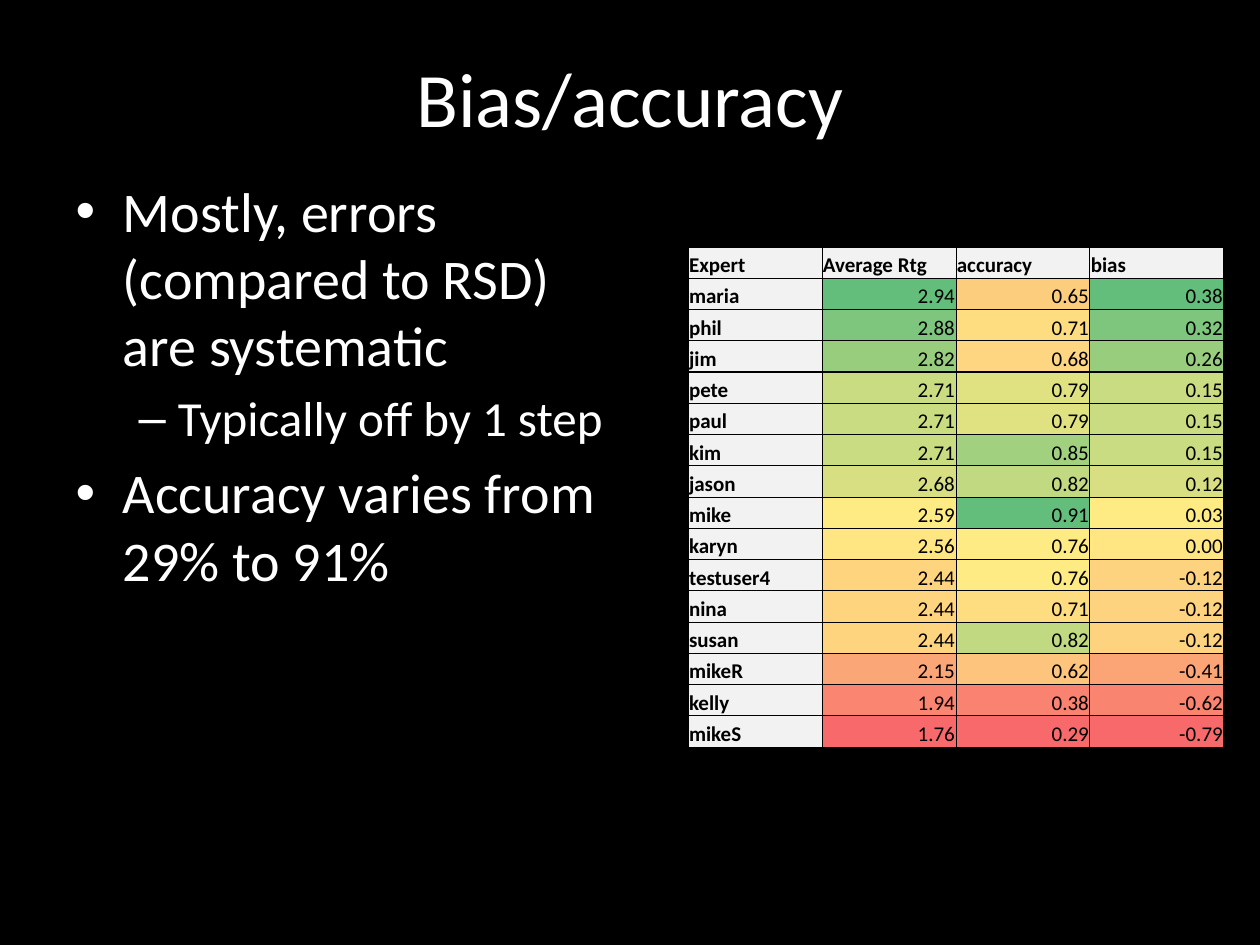
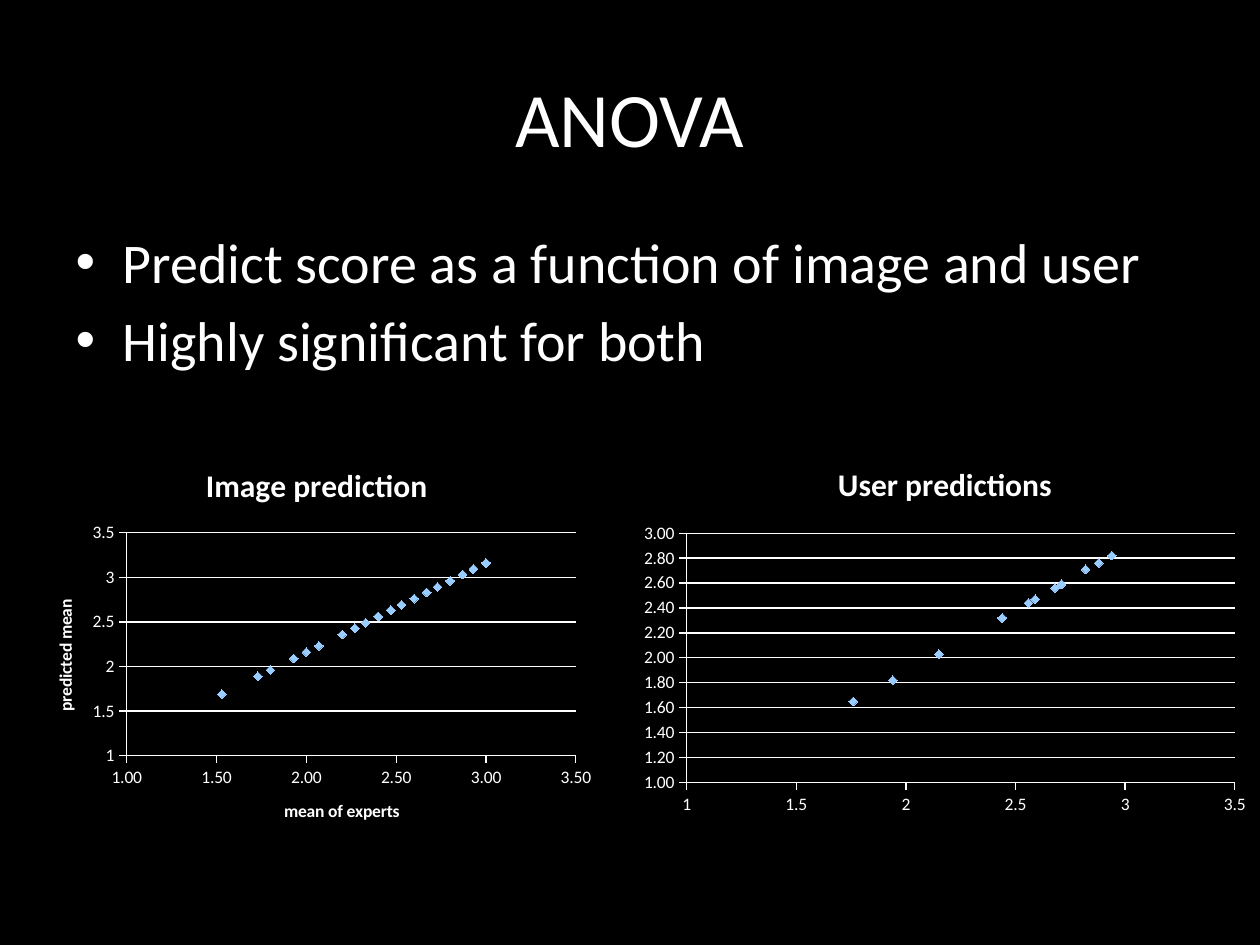
"""Build two slides on the bias of expert ratings and their analysis of variance."""
from lxml.etree import SubElement
from pptx import Presentation
from pptx.chart.data import XyChartData
from pptx.dml.color import RGBColor
from pptx.enum.chart import XL_CHART_TYPE, XL_MARKER_STYLE, XL_TICK_MARK
from pptx.enum.text import MSO_ANCHOR, MSO_AUTO_SIZE, PP_ALIGN
from pptx.oxml import parse_xml
from pptx.oxml.ns import nsdecls, qn
from pptx.util import Cm, Pt

WHITE, BLACK, PALE, MARKER = "FFFFFF", "000000", "F2F2F2", "99CCFF"
LOW, MIDDLE, HIGH = "F8696B", "FFEB84", "63BE7B"
FONT = "Calibri"

HEADINGS = ["Expert", "Average Rtg", "accuracy", "bias"]
EXPERTS = [
    ("maria", 2.94, 0.65, 0.38),
    ("phil", 2.88, 0.71, 0.32),
    ("jim", 2.82, 0.68, 0.26),
    ("pete", 2.71, 0.79, 0.15),
    ("paul", 2.71, 0.79, 0.15),
    ("kim", 2.71, 0.85, 0.15),
    ("jason", 2.68, 0.82, 0.12),
    ("mike", 2.59, 0.91, 0.03),
    ("karyn", 2.56, 0.76, 0.00),
    ("testuser4", 2.44, 0.76, -0.12),
    ("nina", 2.44, 0.71, -0.12),
    ("susan", 2.44, 0.82, -0.12),
    ("mikeR", 2.15, 0.62, -0.41),
    ("kelly", 1.94, 0.38, -0.62),
    ("mikeS", 1.76, 0.29, -0.79),
]
FRAMED_ROWS = range(4, 13)

USER_MEANS = [2.68, 2.82, 2.56, 1.94, 2.71, 2.94, 2.59, 2.15, 1.76, 2.44,
              2.71, 2.71, 2.88, 2.44, 2.44]
USER_PREDICTIONS = [2.56, 2.71, 2.44, 1.82, 2.59, 2.82, 2.47, 2.03, 1.65, 2.32,
                    2.59, 2.59, 2.76, 2.32, 2.32]
IMAGE_MEANS = [2.4, 1.53, 3, 2.4, 2.73, 2.27, 2.93, 2.27, 2.67, 2.4, 2.53, 1.93,
               2.87, 2.07, 2.8, 2.87, 1.73, 2.33, 2.8, 1.8, 2.93, 2.93, 2.47, 2.93,
               2, 2.47, 2.87, 2.93, 2.53, 2.6, 2.93, 2.47, 3, 2.2]
IMAGE_PREDICTIONS = [2.56, 1.69, 3.16, 2.56, 2.89, 2.43, 3.09, 2.43, 2.83, 2.56, 2.69, 2.09,
                     3.03, 2.23, 2.96, 3.03, 1.89, 2.49, 2.96, 1.96, 3.09, 3.09, 2.63, 3.09,
                     2.16, 2.63, 3.03, 3.09, 2.69, 2.76, 3.09, 2.63, 3.16, 2.36]


def color(code):
    """Turn a hex string into a colour."""
    return RGBColor.from_string(code)


def write(para, text, size=32, ink=WHITE, bold=False, align=None):
    """Add formatted text to a paragraph."""
    span = para.add_run()
    span.text = text
    span.font.name, span.font.size, span.font.bold = FONT, Pt(size), bold
    span.font.color.rgb = color(ink)
    if align is not None:
        para.alignment = align


def place(box, left, top, width, height):
    """Move and size a shape, in centimetres."""
    box.left, box.top, box.width, box.height = Cm(left), Cm(top), Cm(width), Cm(height)


def scale_color(value, values):
    """Return the shade of a value on the red, yellow and green scale."""
    ranked = sorted(values)
    middle = ranked[len(ranked) // 2]
    end, limit = (HIGH, ranked[-1]) if value > middle else (LOW, ranked[0])
    share = (value - middle) / (limit - middle)
    pairs = zip(color(MIDDLE), color(end))
    return "".join(f"{round(start + (stop - start) * share):02X}" for start, stop in pairs)


def draw_borders(cell, widths):
    """Give a cell its left, right, top and bottom borders."""
    properties = cell._tc.get_or_add_tcPr()
    for side, width in zip("LRTB", widths):
        line = SubElement(properties, qn(f"a:ln{side}"), w=str(Pt(width)))
        SubElement(SubElement(line, qn("a:solidFill")), qn("a:srgbClr"), val=BLACK)


def set_plot_area(chart, left, top, width, height):
    """Fix the inner plot area as shares of the chart."""
    area = chart._chartSpace.chart.plotArea
    for layout in area.findall(qn("c:layout")):
        area.remove(layout)
    sizes = "".join(f'<c:{key} val="{share}"/>'
                    for key, share in zip("xywh", (left, top, width, height)))
    area.insert(0, parse_xml(
        f'<c:layout {nsdecls("c")}><c:manualLayout><c:layoutTarget val="inner"/>'
        f'<c:xMode val="edge"/><c:yMode val="edge"/>{sizes}</c:manualLayout></c:layout>'))


class SlideBuilder:
    """Hold the deck's style and the current slide."""

    def __init__(self):
        """Start a black deck."""
        self.deck = Presentation()
        self.deck.slide_width, self.deck.slide_height = Cm(25.4), Cm(19.05)
        fill = self.deck.slide_master.background.fill
        fill.solid()
        fill.fore_color.rgb = color(BLACK)
        self.page = None

    def start(self, title, height):
        """Add a slide with its title."""
        self.page = self.deck.slides.add_slide(self.deck.slide_layouts[1])
        box = self.page.shapes.title
        place(box, 1.27, 0.76, 22.86, height)
        box.text_frame.vertical_anchor = MSO_ANCHOR.MIDDLE
        write(box.text_frame.paragraphs[0], title, size=44, align=PP_ALIGN.CENTER)

    def bullets(self, items, *bounds):
        """Fill the body with pairs of level and text."""
        box = self.page.placeholders[1]
        place(box, *bounds)
        frame = box.text_frame
        frame.auto_size = MSO_AUTO_SIZE.NONE
        for index, (level, text) in enumerate(items):
            para = frame.add_paragraph() if index else frame.paragraphs[0]
            para.level = level
            write(para, text, size=32 - 4 * level)

    def cell(self, cell, text, shade, bold, align):
        """Fill and format one table cell."""
        cell.margin_left = cell.margin_right = cell.margin_top = Cm(0.02)
        cell.margin_bottom = 0
        cell.vertical_anchor = MSO_ANCHOR.BOTTOM
        cell.fill.solid()
        cell.fill.fore_color.rgb = color(shade)
        write(cell.text_frame.paragraphs[0], text, size=12, ink=BLACK, bold=bold, align=align)

    def table(self, headings, records, left, top, column_width, row_height):
        """Add a table whose numbers are shaded column by column."""
        rows, columns = len(records) + 1, len(headings)
        table = self.page.shapes.add_table(
            rows, columns, Cm(left), Cm(top),
            Cm(column_width * columns), Cm(row_height * rows)).table
        table.first_row = table.horz_banding = False
        series = list(zip(*records))
        for row, record in enumerate([headings, *records]):
            table.rows[row].height = Cm(row_height)
            framed = row in FRAMED_ROWS
            for column, value in enumerate(record):
                table.columns[column].width = Cm(column_width)
                cell = table.cell(row, column)
                heavy = (framed and column == 0, framed and column == columns - 1,
                         framed != (row - 1 in FRAMED_ROWS), framed != (row + 1 in FRAMED_ROWS))
                draw_borders(cell, [1 if edge else 0.5 for edge in heavy])
                if isinstance(value, str):
                    self.cell(cell, value, PALE, True, PP_ALIGN.LEFT)
                else:
                    shade = scale_color(value, series[column])
                    self.cell(cell, f"{value:.2f}", shade, False, PP_ALIGN.RIGHT)

    def axis(self, axis, maximum, step, number_format, title=None, grid=False):
        """Format one chart axis."""
        axis.minimum_scale, axis.maximum_scale, axis.major_unit = 1, maximum, step
        axis.major_tick_mark, axis.minor_tick_mark = XL_TICK_MARK.OUTSIDE, XL_TICK_MARK.NONE
        axis.tick_labels.number_format = number_format
        axis.tick_labels.number_format_is_linked = False
        axis.has_major_gridlines = grid
        lines = [axis.format.line] + ([axis.major_gridlines.format.line] if grid else [])
        for line in lines:
            line.color.rgb, line.width = color(WHITE), Pt(0.75)
        axis.has_title = title is not None
        if title:
            write(axis.axis_title.text_frame.paragraphs[0], title, size=10, bold=True)

    def scatter(self, title, points, bounds, plot_area, x_axis, y_axis):
        """Add a scatter chart of diamonds."""
        data = XyChartData(number_format="0.00")
        series = data.add_series("Series 1")
        for x, y in points:
            series.add_data_point(x, y)
        chart = self.page.shapes.add_chart(
            XL_CHART_TYPE.XY_SCATTER, *map(Cm, bounds), data).chart
        chart.has_legend = False
        chart.font.name, chart.font.size = FONT, Pt(10)
        chart.font.color.rgb = color(WHITE)
        chart.has_title = True
        write(chart.chart_title.text_frame.paragraphs[0], title, size=18, bold=True)
        chart.chart_title.include_in_layout = False
        chart.plots[0].vary_by_categories = False
        dots = chart.plots[0].series[0]
        dots.format.line.fill.background()
        dots.marker.style, dots.marker.size = XL_MARKER_STYLE.DIAMOND, 5
        dots.marker.format.fill.solid()
        dots.marker.format.fill.fore_color.rgb = color(MARKER)
        dots.marker.format.line.fill.background()
        self.axis(chart.category_axis, **x_axis)
        self.axis(chart.value_axis, grid=True, **y_axis)
        set_plot_area(chart, *plot_area)


def main():
    """Build and save the deck."""
    builder = SlideBuilder()

    builder.start("Bias/accuracy", 2.36)
    builder.bullets([(0, "Mostly, errors (compared to RSD) are systematic"),
                     (1, "Typically off by 1 step"),
                     (0, "Accuracy varies from 29% to 91%")], 1.27, 3.43, 11.68, 11.53)
    builder.table(HEADINGS, EXPERTS, 13.87, 4.98, 2.7, 0.63)

    builder.start("ANOVA", 3.18)
    builder.bullets([(0, "Predict score as a function of image and user"),
                     (0, "Highly significant for both")], 1.27, 4.45, 22.86, 4.5)
    builder.scatter("User predictions", zip(USER_MEANS, USER_PREDICTIONS),
                    (12.7, 8.92, 12.7, 7.62), (0.09, 0.24, 0.87, 0.66),
                    dict(maximum=3.5, step=0.5, number_format="General"),
                    dict(maximum=3, step=0.2, number_format="0.00"))
    builder.scatter("Image prediction", zip(IMAGE_MEANS, IMAGE_PREDICTIONS),
                    (0.58, 8.94, 11.61, 8.18), (0.17, 0.22, 0.78, 0.55),
                    dict(maximum=3.5, step=0.5, number_format="0.00", title="mean of experts"),
                    dict(maximum=3.5, step=0.5, number_format="General", title="predicted mean"))

    builder.deck.save("out.pptx")


main()
